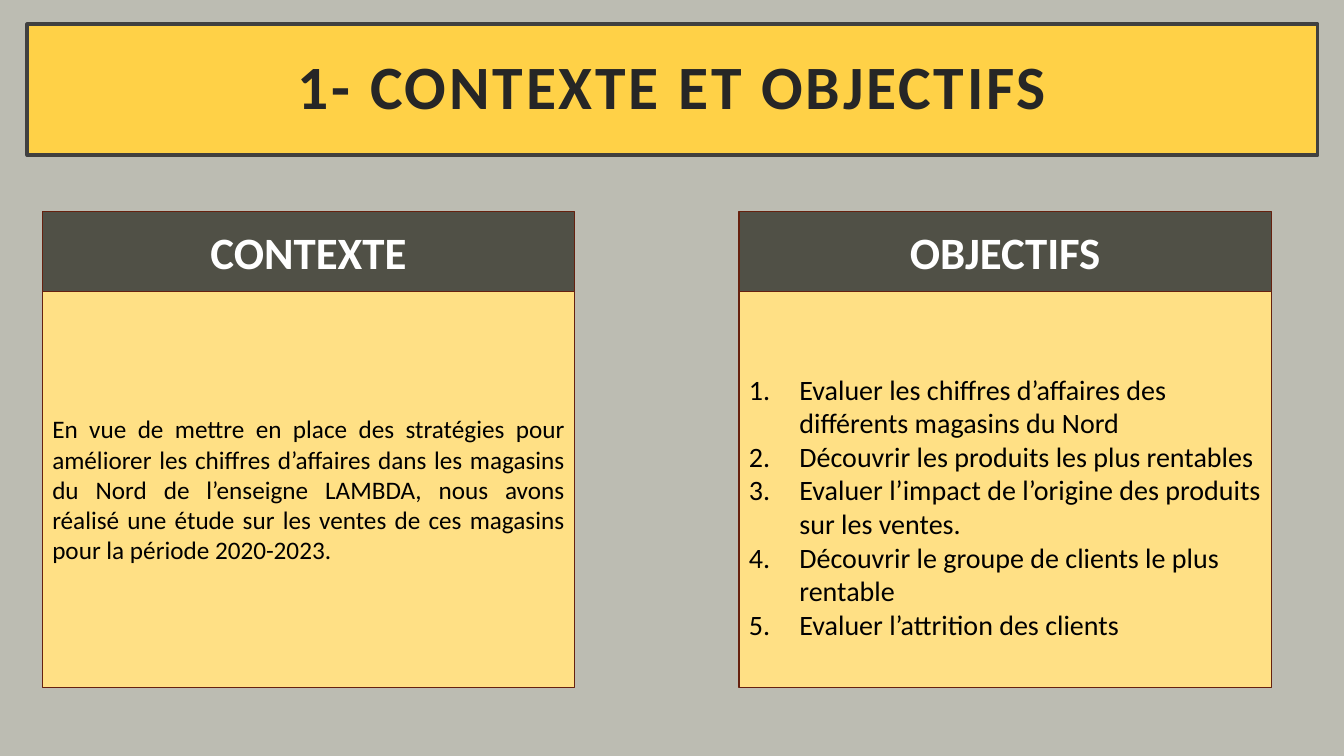
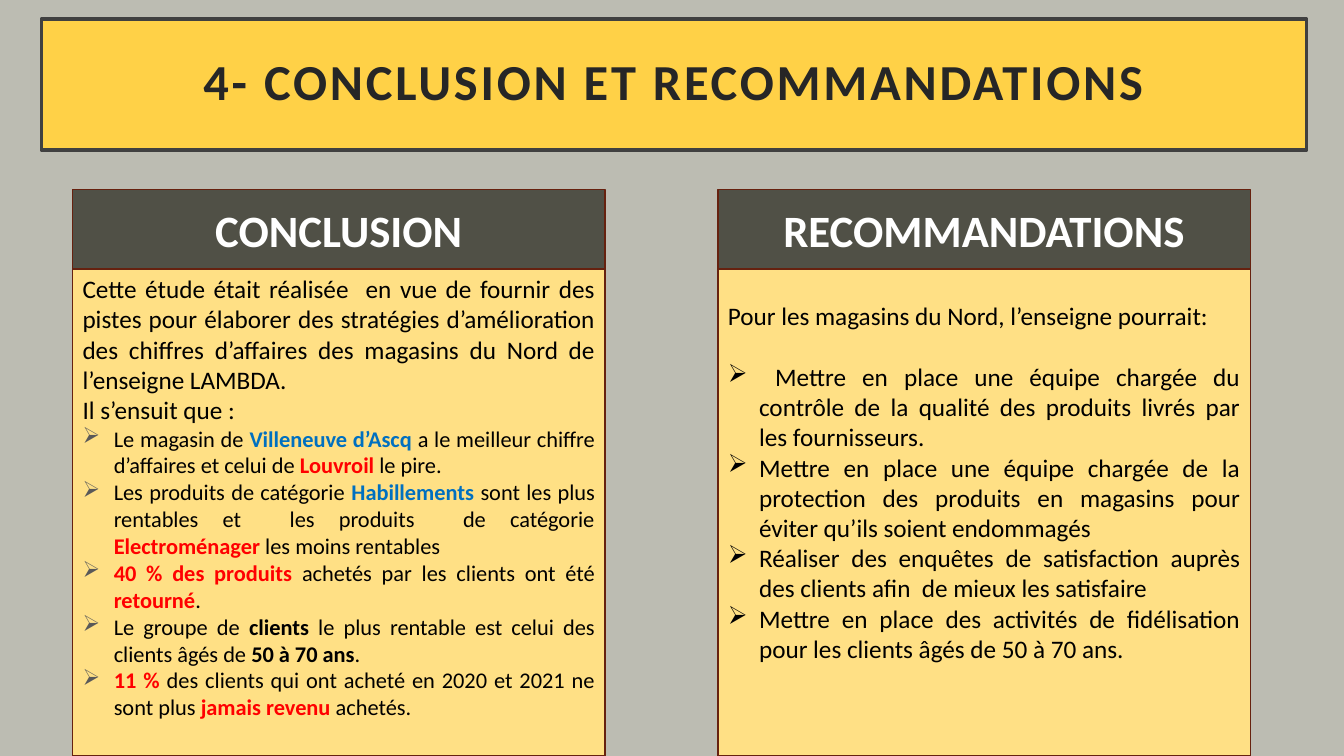
from dataclasses import dataclass

from lxml.etree import SubElement
from pptx import Presentation
from pptx.dml.color import RGBColor
from pptx.enum.shapes import MSO_SHAPE as SHAPE
from pptx.enum.text import MSO_ANCHOR as ANCHOR, PP_ALIGN as ALIGN
from pptx.oxml.ns import qn
from pptx.util import Inches, Pt


@dataclass(frozen=True)
class Theme:
    font: str = "Calibri"
    background: str = "BCBCB2"
    title_fill: str = "FFD147"
    title_line: str = "404040"
    title_text: str = "262626"
    header_fill: str = "505046"
    header_text: str = "FFFFFF"
    body_fill: str = "FFE085"
    body_text: str = "000000"
    panel_line: str = "66210F"
    bullet: str = "595959"
    good: str = "0070C0"
    bad: str = "FF0000"
    header_size: int = 32
    large: int = 20
    normal: int = 18
    small: int = 16


T = Theme()
PANEL_WIDTH = 5.28
HEADER_HEIGHT = 0.79


@dataclass(frozen=True)
class Para:
    """Runs are plain strings, or (text, colour) pairs for bold words."""
    runs: tuple
    size: int = T.normal
    align: ALIGN = ALIGN.JUSTIFY
    marker: str = ""
    marker_color: str = T.body_text
    indent: float = 0
    space_after: int = 0


def rgb(value):
    return RGBColor.from_string(value)


def add_box(slide, box, fill, line, line_width=1):
    sp = slide.shapes.add_shape(SHAPE.RECTANGLE, *map(Inches, box))
    sp.shadow.inherit = False
    sp.fill.solid()
    sp.fill.fore_color.rgb = rgb(fill)
    sp.line.color.rgb = rgb(line)
    sp.line.width = Pt(line_width)
    tf = sp.text_frame
    tf.word_wrap = True
    tf.vertical_anchor = ANCHOR.MIDDLE
    return tf


def add_run(p, text, size, color, bold=False):
    r = p.add_run()
    r.text = text
    r.font.name = T.font
    r.font.size = Pt(size)
    r.font.bold = bold
    r.font.color.rgb = rgb(color)
    return r


def add_marker(p, para):
    """Give the paragraph a hanging indent with a number or a bullet."""
    pPr = p._p.get_or_add_pPr()
    pPr.set("marL", str(Inches(para.indent)))
    pPr.set("indent", str(-Inches(para.indent)))
    clr = SubElement(pPr, qn("a:buClr"))
    SubElement(clr, qn("a:srgbClr"), val=para.marker_color)
    if para.marker == "1.":
        SubElement(pPr, qn("a:buFont"), typeface=T.font)
        SubElement(pPr, qn("a:buAutoNum"), type="arabicPeriod")
    else:
        SubElement(pPr, qn("a:buChar"), char=para.marker)


def fill_text(tf, paras):
    for i, para in enumerate(paras):
        p = tf.paragraphs[0] if i == 0 else tf.add_paragraph()
        p.alignment = para.align
        p.space_after = Pt(para.space_after)
        if para.marker:
            add_marker(p, para)
        for run in para.runs:
            if isinstance(run, str):
                add_run(p, run, para.size, T.body_text)
            else:
                text, color = run
                add_run(p, text, para.size, color, bold=True)


def add_title(slide, text, box, size):
    tf = add_box(slide, box, T.title_fill, T.title_line, 2.5)
    tf.margin_left = tf.margin_right = Inches(0.2)
    tf.margin_top = tf.margin_bottom = Inches(0.2)
    p = tf.paragraphs[0]
    p.alignment = ALIGN.CENTER
    p.line_spacing = 0.9
    r = add_run(p, text, size, T.title_text, bold=True)
    r.font._element.set("spc", "200")


def add_panel(slide, heading, paras, left, top, bottom, pad_top=0.05, pad_bottom=0.05):
    body_top = top + HEADER_HEIGHT
    tf = add_box(slide, (left, body_top, PANEL_WIDTH, bottom - body_top),
                 T.body_fill, T.panel_line)
    tf.margin_top = Inches(pad_top)
    tf.margin_bottom = Inches(pad_bottom)
    fill_text(tf, paras)

    tf = add_box(slide, (left, top, PANEL_WIDTH, HEADER_HEIGHT),
                 T.header_fill, T.panel_line)
    p = tf.paragraphs[0]
    p.alignment = ALIGN.CENTER
    add_run(p, heading, T.header_size, T.header_text, bold=True)


def add_slide(prs):
    slide = prs.slides.add_slide(prs.slide_layouts[6])
    fill = slide.background.fill
    fill.solid()
    fill.fore_color.rgb = rgb(T.background)
    return slide


def numbered(text):
    return Para((text,), T.large, ALIGN.LEFT, "1.", indent=0.5)


def finding(*runs):
    return Para(runs, T.small, marker="➢", marker_color=T.bullet, indent=0.31)


def advice(text):
    return Para((text,), marker="➢", indent=0.31)


CONTEXT = [Para((
    "En vue de mettre en place des stratégies pour améliorer les chiffres "
    "d’affaires dans les magasins du Nord de l’enseigne LAMBDA, nous avons "
    "réalisé une étude sur les ventes de ces magasins pour la période 2020-2023.",
))]

GOALS = [numbered(text) for text in (
    "Evaluer les chiffres d’affaires des différents magasins du Nord",
    "Découvrir les produits les plus rentables",
    "Evaluer l’impact de l’origine des produits sur les ventes.",
    "Découvrir le groupe de clients le plus rentable",
    "Evaluer l’attrition des clients",
)]

CONCLUSION = [
    Para(("Cette étude était réalisée  en vue de fournir des pistes pour élaborer "
          "des stratégies d’amélioration des chiffres d’affaires des magasins du "
          "Nord de l’enseigne LAMBDA.",)),
    Para(("Il s’ensuit que :",)),
    finding("Le magasin de ", ("Villeneuve d’Ascq ", T.good),
            "a le meilleur chiffre d’affaires et celui de ",
            ("Louvroil", T.bad), " le pire."),
    finding("Les produits de catégorie ", ("Habillements", T.good),
            " sont les plus rentables et  les produits  de catégorie ",
            ("Electroménager", T.bad), " les moins rentables"),
    finding(("40 % des produits ", T.bad), "achetés par les clients ont été ",
            ("retourné", T.bad), "."),
    finding("Le groupe de ", ("clients", T.body_text),
            " le plus rentable est celui des clients âgés de ",
            ("50 à 70 ans", T.body_text), "."),
    finding(("11 % ", T.bad),
            "des clients qui ont acheté en 2020 et 2021 ne sont plus ",
            ("jamais revenu ", T.bad), "achetés."),
]

ADVICE = [
    Para(("Pour les magasins du Nord, l’enseigne pourrait:",), space_after=22),
    *map(advice, (
        " Mettre en place une équipe chargée du contrôle de la qualité des "
        "produits livrés par les fournisseurs.",
        "Mettre en place une équipe chargée de la protection des produits en "
        "magasins pour éviter qu’ils soient endommagés",
        "Réaliser des enquêtes de satisfaction auprès des clients afin  de "
        "mieux les satisfaire",
        "Mettre en place des activités de fidélisation pour les clients âgés "
        "de 50 à 70 ans.",
    )),
]


def main():
    prs = Presentation()
    prs.slide_width = Inches(13.33)
    prs.slide_height = Inches(7.5)

    slide = add_slide(prs)
    add_title(slide, "1- CONTEXTE ET OBJECTIFS", (0.27, 0.24, 12.8, 1.3), 44)
    add_panel(slide, "CONTEXTE", CONTEXT, 0.42, 2.1, 6.82)
    add_panel(slide, "OBJECTIFS", GOALS, 7.33, 2.1, 6.82, pad_top=0.39)

    slide = add_slide(prs)
    add_title(slide, "4- CONCLUSION ET RECOMMANDATIONS", (0.41, 0.19, 12.55, 1.3), 36)
    add_panel(slide, "CONCLUSION", CONCLUSION, 0.72, 1.88, 7.5, pad_bottom=0.36)
    add_panel(slide, "RECOMMANDATIONS", ADVICE, 7.12, 1.88, 7.5, pad_bottom=0.66)

    prs.save("out.pptx")


if __name__ == "__main__":
    main()
